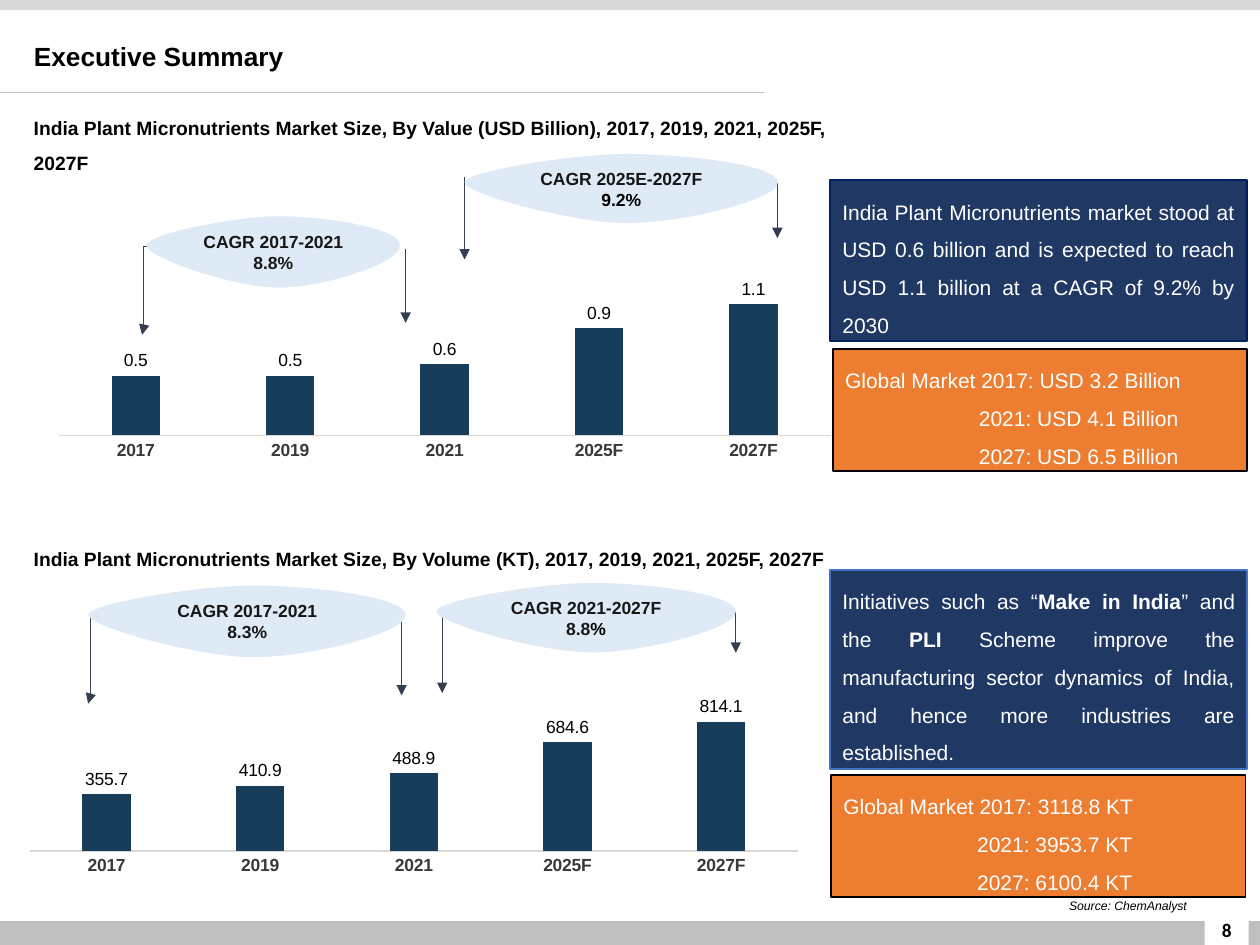
import pptx
import pptx.chart.data
import pptx.dml.color
import pptx.enum.chart
import pptx.enum.shapes
import pptx.enum.text
import pptx.oxml
import pptx.oxml.ns
import pptx.util
from lxml import etree

Pt = pptx.util.Pt
ALIGN = pptx.enum.text.PP_ALIGN
ANCHOR = pptx.enum.text.MSO_ANCHOR
LINK = pptx.enum.shapes.MSO_CONNECTOR
qn = pptx.oxml.ns.qn

THEME = {
    "font": "Arial", "plain": "Calibri",
    "black": "000000", "white": "FFFFFF", "ink": "181717", "axis": "3B3838",
    "navy": "203864", "orange": "ED7D31", "bar": "183D5B", "lens": "DEEBF7",
    "arrow": "333F50", "band": "BFBFBF", "pale": "D9D9D9",
    "edge": "002060", "blue": "4472C4",
    "title": 15, "body": 12, "head": 11, "label": 10, "note": 7,
}

# Positions are left, top, width, height in points.
TITLE = "Executive Summary"
BANDS = [("band", (0, 526.3, 720, 13.7)), ("pale", (0, 0, 720, 5.8)),
         ("white", (688.3, 513.4, 25.2, 26.6))]
HEADS = [
    ("India Plant Micronutrients Market Size, By Value (USD Billion), "
     "2017, 2019, 2021, 2025F, 2027F", (12.2, 56.5, 485.3, 44.6)),
    ("India Plant Micronutrients Market Size, By Volume (KT), "
     "2017, 2019, 2021, 2025F, 2027F", (12.2, 302.6, 485.3, 24.5)),
]
YEARS = ["2017", "2019", "2021", "2025F", "2027F"]
CHARTS = [
    ([0.5, 0.5, 0.6, 0.9, 1.1], 1.2, (33.1, 146.6, 441.9, 146.2)),
    ([355.7, 410.9, 488.9, 684.6, 814.1], 900, (16.6, 384.1, 439.7, 146.2)),
]
ARROWS = [  # start x, y, end x, y
    (231.8, 142.1, 231.8, 184.5), (420.5, 349.2, 420.5, 373),
    (229.5, 355, 229.5, 397.4), (252.7, 348.5, 252.7, 396),
    (444.2, 104.4, 444.2, 136.1), (265.5, 101.3, 265.5, 148.3),
]
ELBOWS = [(185, 140.6, 81.2, 191.3), (175.7, 351.4, 50.4, 402.1)]
LENSES = [  # name, rate runs as (text, colour), place
    ("CAGR 2017-2021", [("8.3%", "ink")], (50.6, 334.6, 181.3, 41)),
    ("CAGR 2021-2027F", [("8.8", "ink"), ("%", "black")],
     (249.3, 333.1, 171.2, 39.7)),
    ("CAGR 2025E-2027F", [("9.2%", "black")], (265.5, 88, 179, 39.5)),
    ("CAGR 2017-2021", [("8.8%", "ink")], (83.7, 123.6, 144.9, 40.8)),
]
# Start point, then two controls and an end point for each of four curves.
OVAL = [(0, .41), (0, .25), (.35, 0), (.52, 0), (.69, 0), (1, .15), (1, .41),
        (1, .67), (.69, 1), (.52, 1), (.35, 1), (0, .58), (0, .41)]
BOXES = [  # paragraphs of (text, bold) runs, fill, line, alignment, place
    ([[("India Plant Micronutrients market stood at USD 0.6 billion and is "
        "expected to reach USD 1.1 billion at a CAGR of 9.2% by 2030", False)]],
     "navy", "edge", ALIGN.JUSTIFY, (474.3, 103, 238.5, 92)),
    ([[("Initiatives such as “", False), ("Make in India", True),
       ("” and the ", False), ("PLI", True),
       (" Scheme improve the manufacturing sector dynamics of India, "
        "and hence more industries are established.", False)]],
     "navy", "blue", ALIGN.JUSTIFY, (474.3, 325.7, 238.5, 113.8)),
    ([[("Global Market 2017: USD 3.2 Billion", False)],
      [("2021: USD 4.1 Billion", False)], [("2027: USD 6.5 Billion", False)]],
     "orange", "black", ALIGN.LEFT, (475.8, 199.5, 237, 69.8)),
    ([[("Global Market 2017: 3118.8 KT", False)],
      [("2021: 3953.7 KT", False)], [("2027: 6100.4 KT", False)]],
     "orange", "black", ALIGN.LEFT, (474.8, 442.9, 237, 69.8)),
]
INDENT = 76.5


def hue(name):
    return pptx.dml.color.RGBColor.from_string(THEME[name])


def pts(vals):
    return [Pt(v) for v in vals]


def put(obj, **vals):
    for key, val in vals.items():
        setattr(obj, key, val)


def style(font, size, tint="black", face="font", **more):
    put(font, name=THEME[face], size=Pt(THEME[size]), **more)
    font.color.rgb = hue(tint)


def paint(shape, fill, line=None):
    shape.shadow.inherit = False
    shape.fill.solid()
    shape.fill.fore_color.rgb = hue(fill)
    if line:
        shape.line.color.rgb = hue(line)
        shape.line.width = Pt(1)
    else:
        shape.line.fill.background()


def write(frame, paras, size, tint="black", space=None, align=ALIGN.LEFT,
          anchor=ANCHOR.TOP, indent=0, **more):
    """Fill a frame with paragraphs of (text, bold[, colour]) runs."""
    put(frame, word_wrap=True, vertical_anchor=anchor,
        auto_size=pptx.enum.text.MSO_AUTO_SIZE.NONE)
    for i, runs in enumerate(paras):
        para = frame.add_paragraph() if i else frame.paragraphs[0]
        put(para, alignment=align, line_spacing=space)
        if i and indent:
            para._p.get_or_add_pPr().set("marL", str(Pt(indent)))
        for text, bold, *own in runs:
            run = para.add_run()
            run.text = text
            style(run.font, size, *(own or [tint]), bold=bold, **more)


def block(slide, place, fill, line=None):
    kind = pptx.enum.shapes.MSO_SHAPE.RECTANGLE
    shape = slide.shapes.add_shape(kind, *pts(place))
    paint(shape, fill, line)
    return shape


def note(slide, place, text, size, bold=True, **more):
    frame = slide.shapes.add_textbox(*pts(place)).text_frame
    write(frame, [[(text, bold)]], size, **more)
    return frame


def link(slide, ends, tint="arrow", kind=LINK.STRAIGHT, head=True):
    line = slide.shapes.add_connector(kind, *pts(ends))
    line.line.color.rgb = hue(tint)
    line.line.width = Pt(0.5)
    props = line._element.spPr
    if head:
        tip = etree.SubElement(line.line._get_or_add_ln(), qn("a:tailEnd"))
        tip.set("type", "triangle")
    etree.SubElement(props, qn("a:effectLst"))
    if kind == LINK.ELBOW:
        guide = etree.SubElement(props.find(".//" + qn("a:avLst")), qn("a:gd"))
        guide.set("name", "adj1")
        guide.set("fmla", "val 99000")


def lens(slide, name, rate, place):
    """Draw the pointed oval, turning each three segments into one curve."""
    left, top, wide, high = place
    dots = [(Pt(left + wide * x), Pt(top + high * y)) for x, y in OVAL]
    form = slide.shapes.build_freeform(*dots[0])
    form.add_line_segments(dots[1:], close=True)
    shape = form.convert_to_shape()
    legs = list(shape._element.iter(qn("a:lnTo")))
    for i in range(0, len(legs), 3):
        curve = etree.Element(qn("a:cubicBezTo"))
        legs[i].addprevious(curve)
        for leg in legs[i:i + 3]:
            curve.append(leg[0])
            leg.getparent().remove(leg)
    paint(shape, "lens")
    rates = [(text, True, tint) for text, tint in rate]
    write(shape.text_frame, [[(name, True)], rates], "label", "ink",
          align=ALIGN.CENTER, anchor=ANCHOR.MIDDLE)


def graph(slide, vals, peak, place):
    enum = pptx.enum.chart
    data = pptx.chart.data.CategoryChartData(number_format="0.0")
    data.categories = YEARS
    data.add_series("Series 1", vals)
    chart = slide.shapes.add_chart(enum.XL_CHART_TYPE.COLUMN_CLUSTERED,
                                   *pts(place), data).chart
    put(chart, has_legend=False, has_title=False)
    style(chart.font, "label", face="plain")
    put(chart.value_axis, visible=False, has_major_gridlines=False,
        minimum_scale=0, maximum_scale=peak)
    axis = chart.category_axis
    axis.major_tick_mark = enum.XL_TICK_MARK.NONE
    style(axis.tick_labels.font, "label", "axis", bold=True)
    axis.format.line.color.rgb = hue("pale")
    axis.format.line.width = Pt(0.75)
    plot = chart.plots[0]
    put(plot, gap_width=219, overlap=-27, vary_by_categories=False)
    bars = plot.series[0]
    put(bars.data_labels, show_value=True, number_format="0.0",
        number_format_is_linked=False,
        position=enum.XL_LABEL_POSITION.OUTSIDE_END)
    style(bars.data_labels.font, "label")
    bars.format.fill.solid()
    bars.format.fill.fore_color.rgb = hue("bar")
    area = chart._chartSpace.chart.plotArea
    for old in area.findall(qn("c:layout")):
        area.remove(old)
    parts = [("layoutTarget", "inner"), ("xMode", "edge"), ("yMode", "edge"),
             ("x", 0), ("y", 0.14), ("w", 1), ("h", 0.56)]
    body = "".join(f'<c:{tag} val="{val}"/>' for tag, val in parts)
    area.insert(0, pptx.oxml.parse_xml(
        f'<c:layout {pptx.oxml.ns.nsdecls("c")}><c:manualLayout>{body}'
        '</c:manualLayout></c:layout>'))


def main():
    deck = pptx.Presentation()
    put(deck, slide_width=Pt(720), slide_height=Pt(540))
    slide = deck.slides.add_slide(deck.slide_layouts[5])
    title = slide.shapes.title
    put(title, left=Pt(12.2), top=Pt(15.1), width=Pt(584), height=Pt(36))
    write(title.text_frame, [[(TITLE, True)]], "title", space=0.9,
          anchor=ANCHOR.MIDDLE)
    for fill, place in BANDS:
        block(slide, place, fill)
    page = note(slide, (683.3, 523, 35.3, 17), "8", "head", face="plain",
                align=ALIGN.CENTER, anchor=ANCHOR.MIDDLE)
    put(page, margin_top=0, margin_bottom=0)
    link(slide, (0, 53, 436.8, 53), "band", head=False)
    for text, place in HEADS:
        note(slide, place, text, "head", space=1.5)
    for vals, peak, place in CHARTS:
        graph(slide, vals, peak, place)
    for ends in ELBOWS:
        link(slide, ends, kind=LINK.ELBOW)
    for ends in ARROWS:
        link(slide, ends)
    for name, rate, place in LENSES:
        lens(slide, name, rate, place)
    note(slide, (571.5, 509.8, 113.8, 15.8), "Source: ChemAnalyst", "note",
         bold=False, italic=True, align=ALIGN.RIGHT)
    for paras, fill, line, align, place in BOXES:
        shape = block(slide, place, fill, line)
        write(shape.text_frame, paras, "body", "white", space=1.5,
              align=align, indent=INDENT)
    deck.save("out.pptx")


if __name__ == "__main__":
    main()
